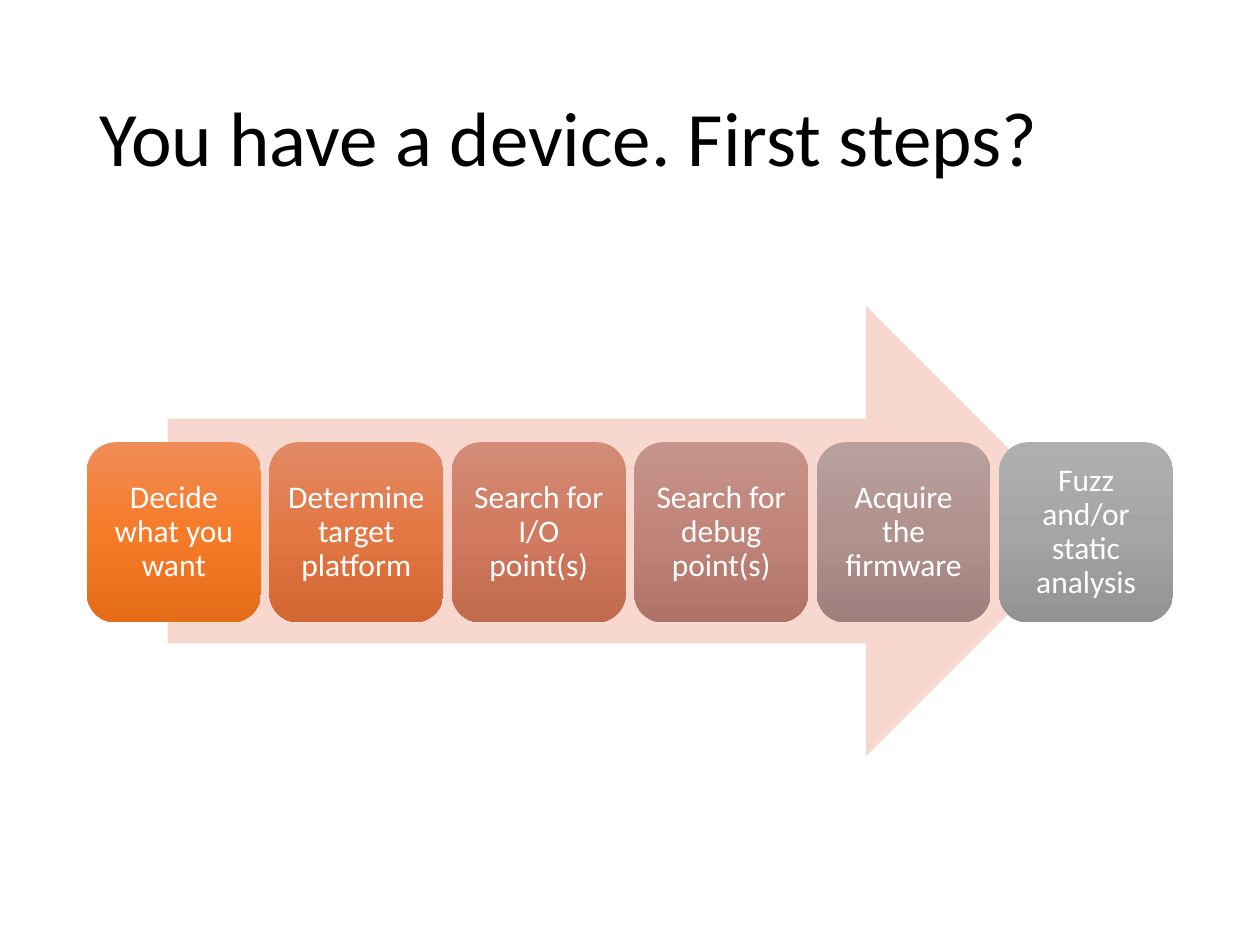
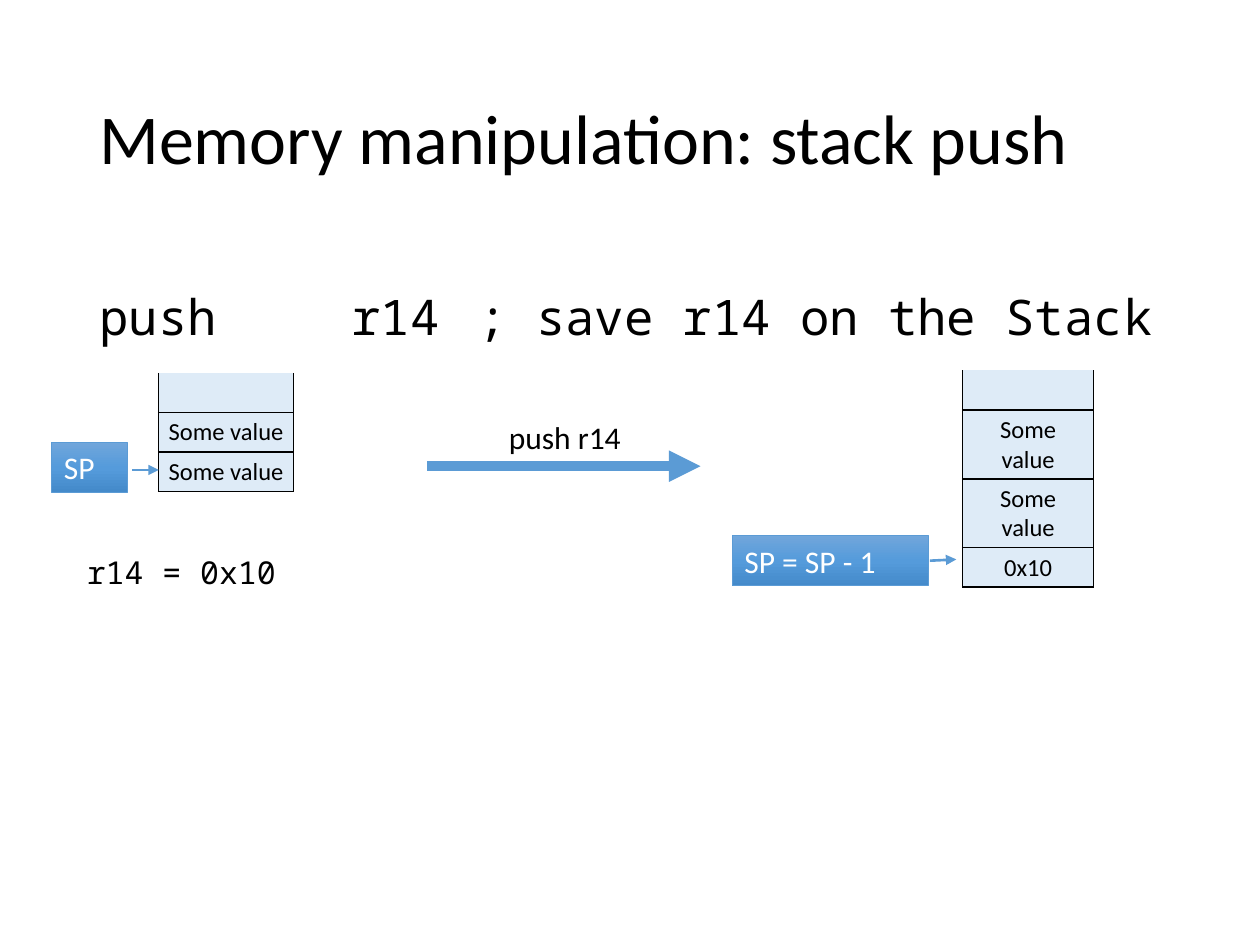
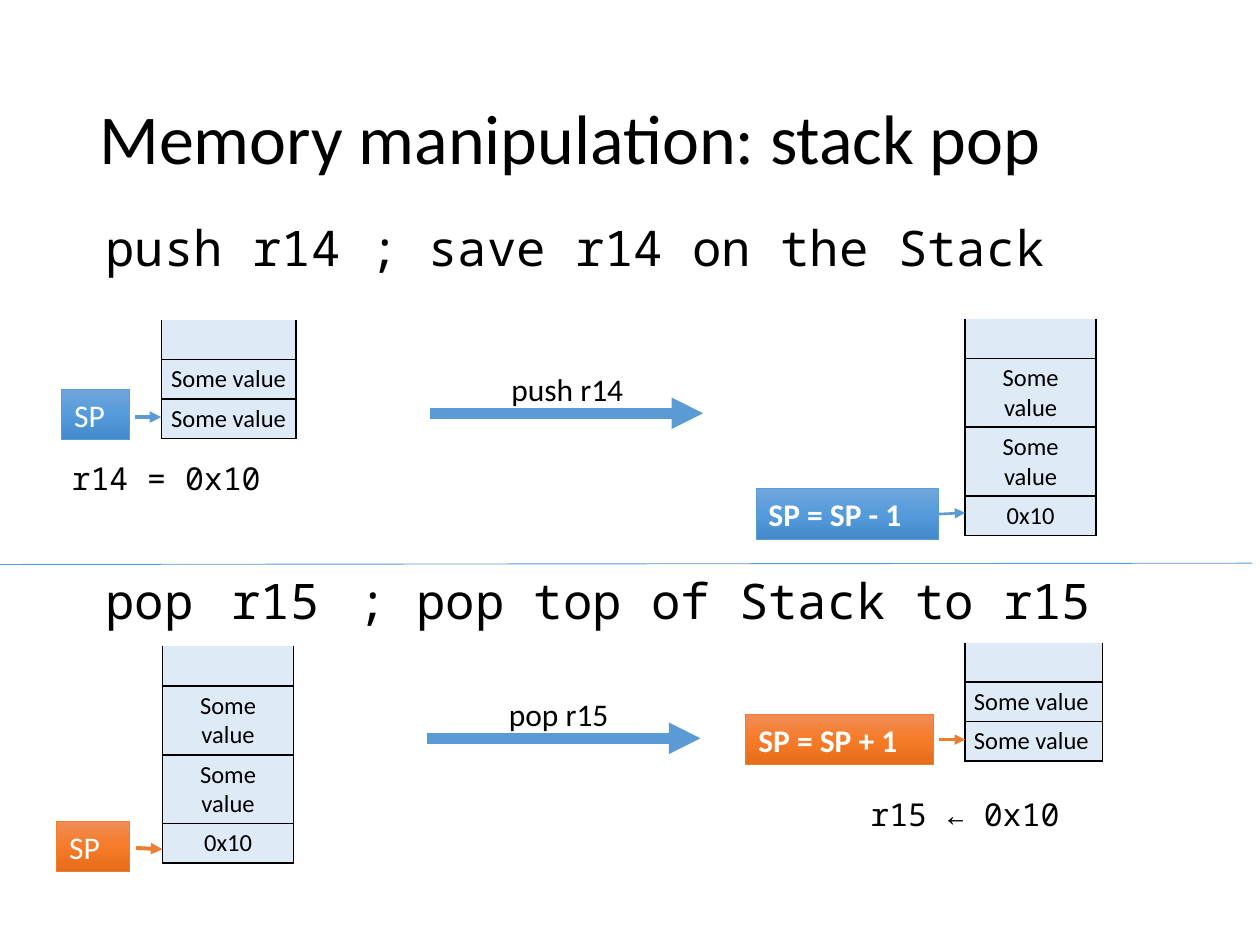
from copy import deepcopy

from lxml.etree import SubElement
from pptx import Presentation
from pptx.dml.color import RGBColor
from pptx.enum.shapes import MSO_CONNECTOR, MSO_SHAPE
from pptx.enum.text import MSO_ANCHOR as ANCHOR, PP_ALIGN as ALIGN
from pptx.oxml.ns import qn
from pptx.util import Inches, Pt

# Shared style
SANS, MONO = "Calibri", "Noto Sans Mono"
BLACK, WHITE = "000000", "FFFFFF"
BLUE, ORANGE = "5B9BD5", "ED7D31"
CELL_FILL, ARROW_FILL = "DEEBF7", "F8D7CE"
GRADIENTS = {
    BLUE: ("71A6DB", "559BDB", "448ACA"),
    ORANGE: ("F18C57", "F67B28", "E56C19"),
}
ROW_HEIGHT = 0.3
LABEL_HEIGHT = 0.4

# Content: first steps
STEPS = [
    ("Decide what you want", GRADIENTS[ORANGE]),
    ("Determine target platform", ("E18A66", "E37744", "D26734")),
    ("Search for I/O point(s)", ("D28C78", "D17A5F", "C06A4E")),
    ("Search for debug point(s)", ("C5948B", "C18478", "AF7267")),
    ("Acquire the firmware", ("B9A09D", "B2928F", "A0807D")),
    ("Fuzz and/or static analysis", ("AFAFAF", "A5A5A5", "939393")),
]

# Content: stack operations
SHORT_STACK = ["", "Some value", "Some value"]
LONG_STACK = SHORT_STACK + ["0x10"]

# stacks: left, top, width, rows, alignment
# pointers: text, left, top, width, bold, arrow start, arrow end, arrow weight
PUSH = dict(
    code="push \tr14\t; save r14 on the Stack", code_at=(0.69, 2.28),
    color=BLUE,
    stacks=[(1.26, 2.96, 1.07, SHORT_STACK, ALIGN.CENTER),
            (7.64, 2.94, 1.04, LONG_STACK, ALIGN.CENTER)],
    pointers=[("SP", 0.41, 3.51, 0.6, False, (1.05, 3.73), (1.26, 3.73), 1.5),
              ("SP = SP - 1", 5.81, 4.25, 1.56, False, (7.38, 4.45), (7.59, 4.44), 1.5)],
    action="push r14", action_at=(3.94, 3.27, 1.1), arrow=(3.39, 3.7),
    register="r14 = 0x10", register_at=(0.59, 4.34),
)
PUSH_AGAIN = dict(
    code="push r14 ; save r14 on the Stack", code_at=(0.74, 1.73),
    color=BLUE,
    stacks=[(1.28, 2.54, 1.07, SHORT_STACK, ALIGN.CENTER),
            (7.66, 2.53, 1.04, LONG_STACK, ALIGN.CENTER)],
    pointers=[("SP", 0.49, 3.09, 0.54, False, (1.07, 3.31), (1.28, 3.31), 2.25),
              ("SP = SP - 1", 6, 3.88, 1.45, True, (7.45, 4.08), (7.66, 4.07), 1.5)],
    action="push r14", action_at=(3.96, 2.89, 1.1), arrow=(3.41, 3.28),
    register="r14 = 0x10", register_at=(0.47, 3.59),
)
POP = dict(
    code="pop \tr15\t; pop top of Stack to r15", code_at=(0.74, 4.53),
    color=ORANGE,
    stacks=[(1.29, 5.13, 1.04, LONG_STACK, ALIGN.CENTER),
            (7.66, 5.1, 1.09, SHORT_STACK, ALIGN.LEFT)],
    pointers=[("SP", 0.45, 6.52, 0.58, False, (1.08, 6.73), (1.29, 6.74), 2.25),
              ("SP = SP + 1", 5.92, 5.67, 1.49, True, (7.45, 5.87), (7.66, 5.87), 1.5)],
    action="pop r15", action_at=(3.94, 5.47, 1), arrow=(3.39, 5.86),
    register="r15 ← 0x10", register_at=(6.81, 6.26),
)


def rgb(color):
    return RGBColor.from_string(color)


def inches(*lengths):
    return [Inches(length) for length in lengths]


def write(frame, text, size=18, font=SANS, color=BLACK, bold=False, align=ALIGN.LEFT,
          anchor=ANCHOR.TOP, spacing=None, wrap=True, tabs=()):
    frame.word_wrap = wrap
    frame.vertical_anchor = anchor
    paragraph = frame.paragraphs[0]
    paragraph.alignment = align
    if spacing:
        paragraph.line_spacing = spacing
    if tabs:
        tab_list = SubElement(paragraph._p.get_or_add_pPr(), qn("a:tabLst"))
        for position in tabs:
            SubElement(tab_list, qn("a:tab"), pos=str(Inches(position)), algn="l")
    run = paragraph.add_run()
    run.text = text
    run.font.size = Pt(size)
    run.font.name = font
    run.font.bold = bold
    run.font.color.rgb = rgb(color)


def add_text(slide, text, left, top, width, height=LABEL_HEIGHT, **style):
    box = slide.shapes.add_textbox(*inches(left, top, width, height))
    write(box.text_frame, text, **style)


def add_box(slide, kind, left, top, width, height):
    shape = slide.shapes.add_shape(kind, *inches(left, top, width, height))
    shape.shadow.inherit = False
    shape.line.fill.background()
    return shape


def fill_gradient(shape, colors):
    fill = shape.fill
    fill.gradient()
    fill.gradient_angle = 270
    stop_list = shape._element.spPr.find(".//" + qn("a:gsLst"))
    stop_list.insert(1, deepcopy(stop_list[0]))
    for stop, position, color in zip(fill.gradient_stops, (0, 0.5, 1), colors):
        stop.position = position
        stop.color.rgb = rgb(color)


def add_line(slide, start, end, color, weight, arrow=True):
    line = slide.shapes.add_connector(MSO_CONNECTOR.STRAIGHT, *inches(*start, *end))
    line.line.color.rgb = rgb(color)
    line.line.width = Pt(weight)
    if arrow:
        SubElement(line.line._get_or_add_ln(), qn("a:tailEnd"), type="triangle")
    SubElement(line._element.spPr, qn("a:effectLst"))


def add_borders(cell, sides):
    properties = cell._tc.get_or_add_tcPr()
    for index, side in enumerate("LRTB"):
        width = Pt(1) if side in sides else 0
        border = properties.makeelement(qn(f"a:ln{side}"), {"w": str(width)})
        if width:
            solid = SubElement(border, qn("a:solidFill"))
            SubElement(solid, qn("a:srgbClr"), val=BLACK)
        else:
            SubElement(border, qn("a:noFill"))
        properties.insert(index, border)


def add_stack(slide, left, top, width, values, align):
    height = ROW_HEIGHT * len(values)
    frame = slide.shapes.add_table(len(values), 1, *inches(left, top, width, height))
    table = frame.table
    table.first_row = table.horz_banding = False
    for row, value in enumerate(values):
        table.rows[row].height = Inches(ROW_HEIGHT)
        cell = table.cell(row, 0)
        cell.margin_left = cell.margin_right = Inches(0.07)
        cell.margin_top = cell.margin_bottom = Inches(0.04)
        cell.fill.solid()
        cell.fill.fore_color.rgb = rgb(CELL_FILL)
        add_borders(cell, "LRTB" if row else "LRB")
        if value:
            write(cell.text_frame, value, size=14, align=align)
        else:
            SubElement(cell.text_frame.paragraphs[0]._p, qn("a:endParaRPr"), sz="1400")


def add_operation(slide, operation):
    color = operation["color"]
    add_text(slide, operation["code"], *operation["code_at"], 8.62, 0.6,
             size=28, font=MONO, spacing=0.9, tabs=(1, 2, 3))
    for stack in operation["stacks"]:
        add_stack(slide, *stack)

    # Stack pointers, each with a small arrow to its row
    for text, left, top, width, bold, start, end, weight in operation["pointers"]:
        pointer = add_box(slide, MSO_SHAPE.RECTANGLE, left, top, width, LABEL_HEIGHT)
        fill_gradient(pointer, GRADIENTS[color])
        pointer.line.color.rgb = rgb(color)
        pointer.line.width = Pt(0.5)
        write(pointer.text_frame, text, color=WHITE, bold=bold)
        add_line(slide, start, end, color, weight)

    # Wide arrow from the stack before to the stack after
    left, top = operation["arrow"]
    add_line(slide, (left, top), (left + 2.17, top), BLUE, 6)
    add_text(slide, operation["action"], *operation["action_at"], wrap=False)
    add_text(slide, operation["register"], *operation["register_at"], 1.89, font=MONO)


def add_slide(presentation, title, title_size=40):
    slide = presentation.slides.add_slide(presentation.slide_layouts[6])
    add_text(slide, title, 0.69, 0.4, 8.62, 1.45, size=title_size,
             anchor=ANCHOR.MIDDLE, spacing=0.9)
    return slide


def add_steps(slide):
    arrow = add_box(slide, MSO_SHAPE.RIGHT_ARROW, 1.33, 2.43, 7.33, 3.57)
    arrow.fill.solid()
    arrow.fill.fore_color.rgb = rgb(ARROW_FILL)

    first, last, width = 0.69, 7.93, 1.38
    pitch = (last - first) / (len(STEPS) - 1)
    for index, (text, colors) in enumerate(STEPS):
        step = add_box(slide, MSO_SHAPE.ROUNDED_RECTANGLE,
                       first + index * pitch, 3.51, width, 1.43)
        fill_gradient(step, colors)
        # The rounded corners already inset the text, so the margins stay small
        frame = step.text_frame
        frame.margin_left = frame.margin_right = Inches(0.06)
        frame.margin_top = frame.margin_bottom = Inches(0.06)
        write(frame, text, color=WHITE, align=ALIGN.CENTER,
              anchor=ANCHOR.MIDDLE, spacing=0.9)


def main():
    presentation = Presentation()
    presentation.slide_width, presentation.slide_height = inches(10, 7.5)

    add_steps(add_slide(presentation, "You have a device. First steps?", 44))

    push_slide = add_slide(presentation, "Memory manipulation: stack push")
    add_operation(push_slide, PUSH)

    pop_slide = add_slide(presentation, "Memory manipulation: stack pop")
    add_operation(pop_slide, PUSH_AGAIN)
    add_line(pop_slide, (0, 4.48), (9.94, 4.47), BLUE, 0.5, arrow=False)
    add_operation(pop_slide, POP)

    presentation.save("out.pptx")


if __name__ == "__main__":
    main()
